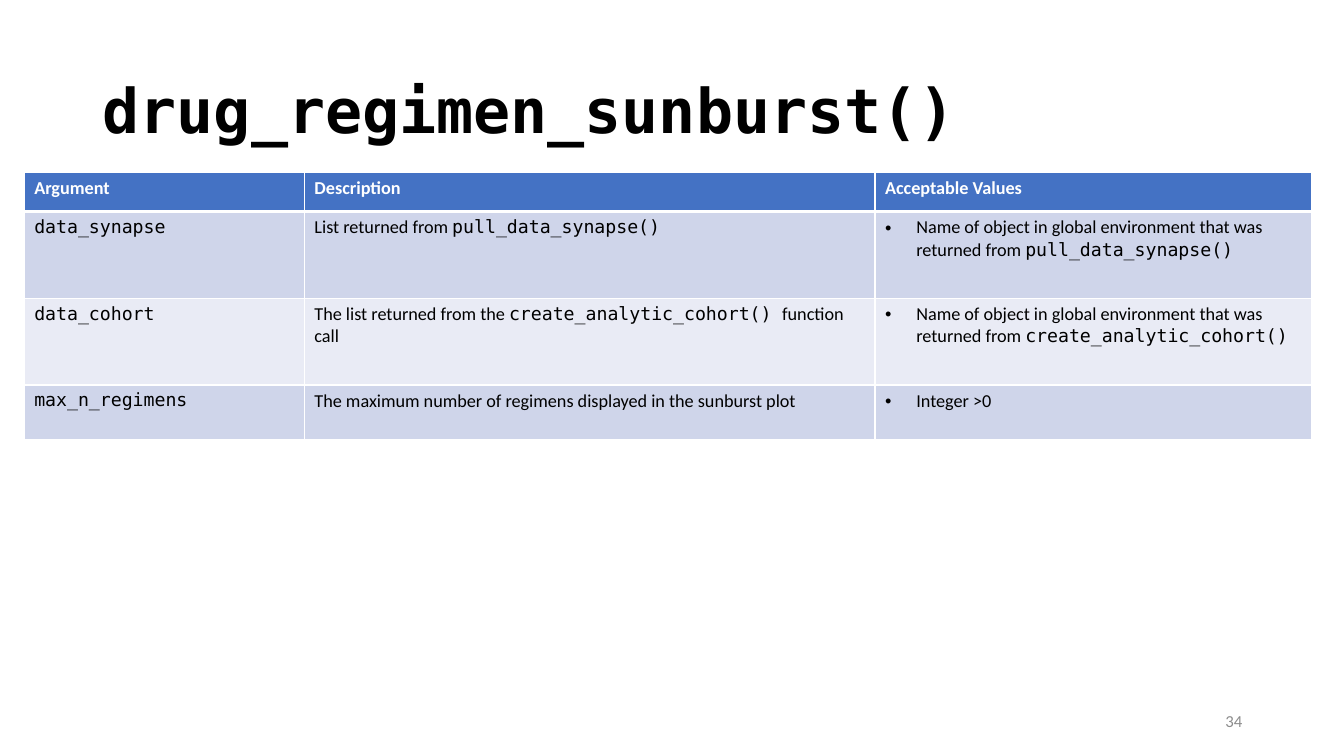
from dataclasses import dataclass

from lxml import etree
from pptx import Presentation
from pptx.dml.color import RGBColor
from pptx.enum.text import MSO_ANCHOR, PP_ALIGN
from pptx.oxml.ns import qn
from pptx.slide import Slide
from pptx.table import _Cell
from pptx.text.text import _Paragraph
from pptx.util import Emu, Inches, Pt

LEFT, RIGHT = PP_ALIGN.LEFT, PP_ALIGN.RIGHT
MIDDLE = MSO_ANCHOR.MIDDLE
WIDE, HIGH = Inches(13.33), Inches(7.5)


@dataclass(frozen=True)
class Theme:
    sans: str = "Calibri"
    mono: str = "DejaVu Sans Mono"
    ink: str = "000000"
    white: str = "FFFFFF"
    gray: str = "8C8C8C"
    head: str = "4472C4"
    bands: tuple[str, str] = ("CFD5EA", "E9EBF5")
    title: int = 44
    body: int = 13
    small: int = 12
    rule: int = 1
    thick: int = 3


@dataclass(frozen=True)
class Label:
    """A line of text; its place is in percent of the slide."""
    text: str
    left: float
    top: float
    width: float
    height: float
    font: str
    size: int
    color: str
    bold: bool = False
    align: PP_ALIGN = LEFT
    space: float = 1.0


@dataclass(frozen=True)
class Row:
    """A table row; text between backticks is code."""
    name: str
    about: str
    values: str
    height: float


THEME = Theme()
LABELS = (
    Label("drug_regimen_sunburst()", 6.9, 5.33, 86.27, 19.33,
          THEME.mono, THEME.title, THEME.ink, bold=True, space=0.9),
    Label("34", 70.67, 92.67, 22.5, 5.33,
          THEME.sans, THEME.small, THEME.gray, align=RIGHT),
)
ORIGIN = (1.8, 22.8)
COLS = (20.85, 42.46, 32.52)
ROWS = (
    Row("Argument", "Description", "Acceptable Values", 5.2),
    Row("`data_synapse`", "List returned from `pull_data_synapse()`",
        "Name of object in global environment that was returned from "
        "`pull_data_synapse()`", 11.47),
    Row("`data_cohort`",
        "The list returned from the `create_analytic_cohort() `function call",
        "Name of object in global environment that was returned from "
        "`create_analytic_cohort()`", 11.47),
    Row("`max_n_regimens`",
        "The maximum number of regimens displayed in the sunburst plot",
        "Integer >0", 7.2),
)


def across(share: float) -> Emu:
    return Emu(round(WIDE * share / 100))


def down(share: float) -> Emu:
    return Emu(round(HIGH * share / 100))


def style(para: _Paragraph, size: int, color: str, bold: bool) -> None:
    para.font.size = Pt(size)
    para.font.bold = bold
    para.font.color.rgb = RGBColor.from_string(color)


def add_label(slide: Slide, label: Label) -> None:
    box = slide.shapes.add_textbox(across(label.left), down(label.top),
                                   across(label.width), down(label.height))
    frame = box.text_frame
    frame.word_wrap = True
    frame.vertical_anchor = MIDDLE
    para = frame.paragraphs[0]
    para.text = label.text
    para.alignment = label.align
    para.line_spacing = label.space
    para.font.name = label.font
    style(para, label.size, label.color, label.bold)


def add_bullet(para: _Paragraph) -> None:
    props = para._p.get_or_add_pPr()
    dent = Inches(0.31)
    props.set("marL", str(dent))
    props.set("indent", str(-dent))
    font = etree.Element(qn("a:buFont"), typeface="Arial")
    mark = etree.Element(qn("a:buChar"), char="•")
    props.insert(0, font)
    props.insert(1, mark)


def add_rules(cell: _Cell, top: int, bottom: int) -> None:
    """Draw the four white borders, widths in points."""
    props = cell._tc.get_or_add_tcPr()
    sides = {"L": THEME.rule, "R": THEME.rule, "T": top, "B": bottom}
    for place, (side, width) in enumerate(sides.items()):
        line = etree.Element(qn(f"a:ln{side}"), w=str(Pt(width)))
        fill = etree.SubElement(line, qn("a:solidFill"))
        etree.SubElement(fill, qn("a:srgbClr"), val=THEME.white)
        props.insert(place, line)


def fill_cell(cell: _Cell, text: str, row: int, bullet: bool) -> None:
    head = row == 0
    para = cell.text_frame.paragraphs[0]
    parts = text.split("`")
    fonts = (THEME.sans, THEME.mono)
    runs = [(part, fonts[i % 2]) for i, part in enumerate(parts) if part]
    for part, font in runs:
        run = para.add_run()
        run.text = part
        if len(runs) > 1:
            run.font.name = font
    if len(runs) == 1:
        para.font.name = runs[0][1]
    style(para, THEME.body, THEME.white if head else THEME.ink, head)
    if bullet:
        add_bullet(para)
    cell.fill.solid()
    color = THEME.head if head else THEME.bands[(row - 1) % 2]
    cell.fill.fore_color.rgb = RGBColor.from_string(color)
    add_rules(cell, THEME.thick if row == 1 else THEME.rule,
              THEME.thick if head else THEME.rule)


def add_grid(slide: Slide) -> None:
    left, top = ORIGIN
    frame = slide.shapes.add_table(
        len(ROWS), len(COLS), across(left), down(top), across(sum(COLS)),
        down(sum(row.height for row in ROWS)))
    table = frame.table
    for col, width in zip(table.columns, COLS):
        col.width = across(width)
    for r, row in enumerate(ROWS):
        table.rows[r].height = down(row.height)
        for c, text in enumerate((row.name, row.about, row.values)):
            last = c == len(COLS) - 1
            fill_cell(table.cell(r, c), text, r, bullet=last and r > 0)


def main() -> None:
    deck = Presentation()
    deck.slide_width, deck.slide_height = WIDE, HIGH
    slide = deck.slides.add_slide(deck.slide_layouts[6])
    for label in LABELS:
        add_label(slide, label)
    add_grid(slide)
    deck.save("out.pptx")


if __name__ == "__main__":
    main()
